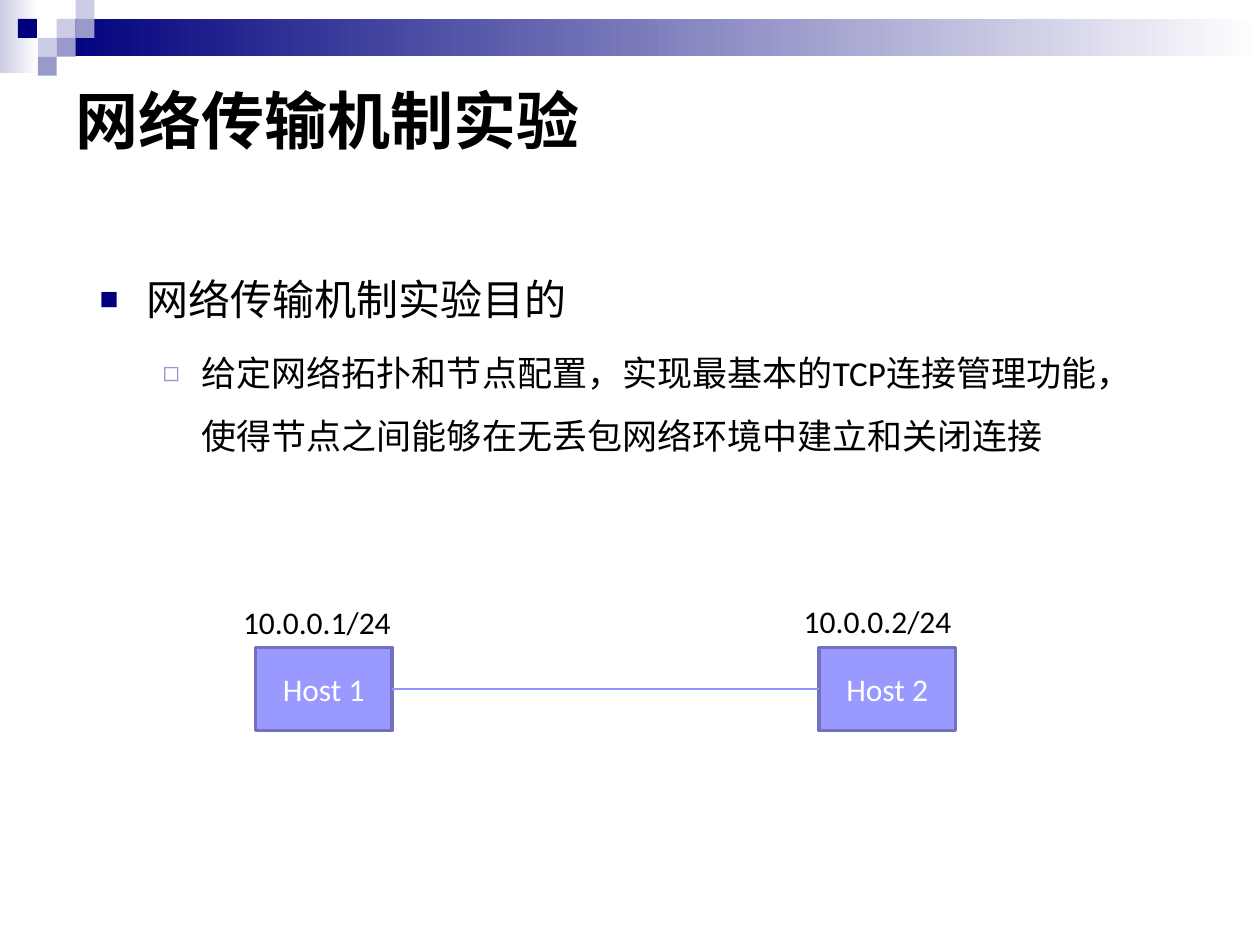
from lxml import etree
from pptx import Presentation
from pptx.dml.color import RGBColor
from pptx.enum.shapes import MSO_CONNECTOR, MSO_SHAPE
from pptx.enum.text import MSO_ANCHOR, MSO_AUTO_SIZE, PP_ALIGN
from pptx.oxml.ns import qn
from pptx.util import Pt

RECTANGLE = MSO_SHAPE.RECTANGLE
STRAIGHT = MSO_CONNECTOR.STRAIGHT
MIDDLE, TOP = MSO_ANCHOR.MIDDLE, MSO_ANCHOR.TOP
LEFT, CENTER = PP_ALIGN.LEFT, PP_ALIGN.CENTER
NO_AUTOFIT = MSO_AUTO_SIZE.NONE

NAVY, LAVENDER, PALE = "00007D", "9999CC", "CCCCE6"
BLACK, WHITE = "000000", "FFFFFF"
HOST_FILL, HOST_BORDER, LINK = "9999FF", "7171BD", "9393FC"

CELL = 10.8
MOSAIC = [
    (3, 1, PALE), (4, 0, PALE), (4, 1, LAVENDER), (2, 2, PALE),
    (0.95, 1, NAVY), (3, 2, LAVENDER), (2, 3, LAVENDER),
]
HOST_TOP, HOST_WIDTH, HOST_HEIGHT = 370, 78, 47.5
HOSTS = [
    ("Host 1", 146, "10.0.0.1/24", 131.8, 341.3),
    ("Host 2", 468, "10.0.0.2/24", 452.2, 340.6),
]
BULLETS = [
    ("网络传输机制实验目的", 24, 26.64, -26.64, "■", NAVY, 75),
    ("给定网络拓扑和节点配置，实现最基本的TCP连接管理功能，使得节点之间能够在无丢包网络环境中建立和关闭连接",
     20, 58.32, -22.32, "◻", LAVENDER, 80),
]


def color(value):
    return RGBColor.from_string(value)


class SlideBuilder:
    font = "Calibri"

    def __init__(self, slide):
        self.slide = slide

    def format(self, paragraph, size, text_color=BLACK, bold=False, align=LEFT):
        paragraph.alignment = align
        for run in paragraph.runs:
            run.font.name = self.font
            run.font.size = Pt(size)
            run.font.bold = bold
            run.font.color.rgb = color(text_color)

    def place(self, shape, left, top, width, height, anchor):
        shape.left, shape.top = Pt(left), Pt(top)
        shape.width, shape.height = Pt(width), Pt(height)
        shape.text_frame.auto_size = NO_AUTOFIT
        shape.text_frame.vertical_anchor = anchor

    def rectangle(self, left, top, width, height):
        shape = self.slide.shapes.add_shape(
            RECTANGLE, Pt(left), Pt(top), Pt(width), Pt(height))
        shape.shadow.inherit = False
        shape.line.fill.background()
        return shape

    def block(self, left, top, width, height, fill):
        shape = self.rectangle(left, top, width, height)
        shape.fill.solid()
        shape.fill.fore_color.rgb = color(fill)
        return shape

    def fade(self, left, top, width, height, start):
        fill = self.rectangle(left, top, width, height).fill
        fill.gradient()
        fill.gradient_angle = 0
        for stop, value, position in zip(fill.gradient_stops, (start, WHITE), (0, 1)):
            stop.color.rgb = color(value)
            stop.position = position

    def title(self, text, left, top, width, height):
        shape = self.slide.shapes.title
        self.place(shape, left, top, width, height, MIDDLE)
        shape.text_frame.text = text
        self.format(shape.text_frame.paragraphs[0], 36, bold=True)

    def bullets(self, items, left, top, width, height):
        shape = self.slide.placeholders[1]
        self.place(shape, left, top, width, height, TOP)
        frame = shape.text_frame
        frame.text = "\n".join(item[0] for item in items)
        for level, (paragraph, item) in enumerate(zip(frame.paragraphs, items)):
            _, size, margin, indent, symbol, symbol_color, percent = item
            paragraph.level = level
            paragraph.line_spacing = 1.5
            self.format(paragraph, size)
            properties = paragraph._p.get_or_add_pPr()
            properties.set("marL", str(Pt(margin)))
            properties.set("indent", str(Pt(indent)))
            bullet_color = etree.SubElement(properties, qn("a:buClr"))
            etree.SubElement(bullet_color, qn("a:srgbClr"), val=symbol_color)
            etree.SubElement(properties, qn("a:buSzPct"), val=str(percent * 1000))
            etree.SubElement(properties, qn("a:buChar"), char=symbol)

    def host(self, name, left, top, width, height):
        shape = self.block(left, top, width, height, HOST_FILL)
        shape.line.color.rgb = color(HOST_BORDER)
        shape.line.width = Pt(2)
        shape.text_frame.text = name
        shape.text_frame.vertical_anchor = MIDDLE
        self.format(shape.text_frame.paragraphs[0], 18, WHITE, align=CENTER)
        return shape

    def label(self, text, left, top, width, height):
        frame = self.slide.shapes.add_textbox(
            Pt(left), Pt(top), Pt(width), Pt(height)).text_frame
        frame.word_wrap = False
        frame.text = text
        self.format(frame.paragraphs[0], 18)

    def link(self, first, second):
        connector = self.slide.shapes.add_connector(STRAIGHT, 0, 0, 0, 0)
        connector.begin_connect(first, 3)
        connector.end_connect(second, 1)
        connector.line.color.rgb = color(LINK)
        connector.line.width = Pt(0.75)
        etree.SubElement(connector._element.spPr, qn("a:effectLst"))


def main():
    presentation = Presentation()
    presentation.slide_width, presentation.slide_height = Pt(720), Pt(540)
    slide = presentation.slides.add_slide(presentation.slide_layouts[1])
    builder = SlideBuilder(slide)

    builder.fade(0, 0, 22, 42, PALE)
    builder.fade(3 * CELL, CELL, 720 - 3 * CELL, 21.3, NAVY)
    for column, row, fill in MOSAIC:
        builder.block(column * CELL, row * CELL, CELL, CELL, fill)

    builder.title("网络传输机制实验", 36, 36, 648, 64)
    builder.bullets(BULLETS, 49.7, 138.2, 620.6, 139.7)

    hosts = []
    for name, left, address, label_left, label_top in HOSTS:
        hosts.append(builder.host(name, left, HOST_TOP, HOST_WIDTH, HOST_HEIGHT))
        builder.label(address, label_left, label_top, 100, 29)
    builder.link(*hosts)

    presentation.save("out.pptx")


if __name__ == "__main__":
    main()
